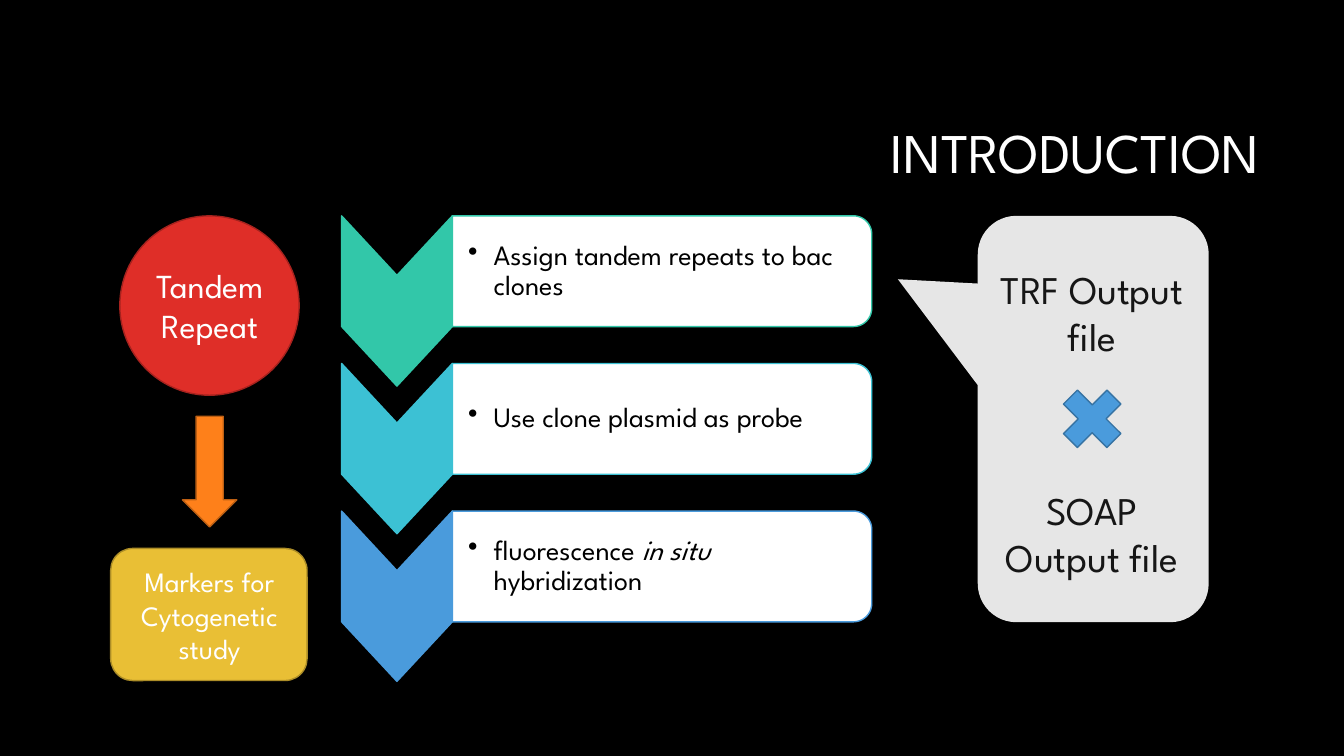
"""Build the introduction slide on tandem repeats as cytogenetic markers."""
import math

import lxml.etree
import pptx
import pptx.dml.color
import pptx.enum.shapes
import pptx.enum.text
import pptx.oxml.ns
import pptx.util

Cm = pptx.util.Cm
Pt = pptx.util.Pt
SHAPE = pptx.enum.shapes.MSO_SHAPE
ALIGN = pptx.enum.text.PP_ALIGN
ANCHOR = pptx.enum.text.MSO_ANCHOR


def color(value):
    return pptx.dml.color.RGBColor.from_string(value)


class IntroductionSlide:
    font = "League Spartan"

    def __init__(self, deck):
        self.page = deck.slides.add_slide(deck.slide_layouts[6])
        self.page.background.fill.solid()
        self.page.background.fill.fore_color.rgb = color("000000")

    def paint(self, box, fill, line=None):
        box.shadow.inherit = False
        box.fill.solid()
        box.fill.fore_color.rgb = color(fill)
        if line:
            box.line.color.rgb = color(line)
            box.line.width = Pt(1)
        else:
            box.line.fill.background()
        return box

    def shape(self, kind, place, fill, line=None):
        box = self.page.shapes.add_shape(kind, *map(Cm, place))
        return self.paint(box, fill, line)

    def outline(self, points, fill, line):
        start, *rest = [(Cm(x), Cm(y)) for x, y in points]
        builder = self.page.shapes.build_freeform(*start)
        builder.add_line_segments(rest, close=True)
        return self.paint(builder.convert_to_shape(), fill, line)

    def span(self, para, words, size, ink, italic=False):
        span = para.add_run()
        span.text = words
        span.font.name = self.font
        span.font.size = Pt(size)
        span.font.color.rgb = color(ink)
        span.font.italic = italic

    def text(self, place, lines, size, ink="FFFFFF", align=ALIGN.CENTER,
             anchor=ANCHOR.TOP, spacing=1.0):
        box = self.page.shapes.add_textbox(*map(Cm, place))
        frame = box.text_frame
        frame.word_wrap = True
        frame.vertical_anchor = anchor
        for index, words in enumerate(lines):
            para = frame.add_paragraph() if index else frame.paragraphs[0]
            para.alignment = align
            para.line_spacing = spacing
            self.span(para, words, size, ink)

    def chevron(self, left, top, width, side, notch, fill):
        middle, right = left + width / 2, left + width
        self.outline([(left, top), (middle, top + notch), (right, top),
                      (right, top + side), (middle, top + side + notch),
                      (left, top + side)], fill, fill)

    def step_box(self, left, top, width, height, line, spans):
        radius = 0.46
        corner = left + width - radius
        angles = [math.radians(degrees) for degrees in range(0, 91, 6)]
        upper = [(corner + radius * math.sin(a),
                  top + radius * (1 - math.cos(a))) for a in angles]
        lower = [(x, 2 * top + height - y) for x, y in reversed(upper)]
        box = self.outline([(left, top), *upper, *lower, (left, top + height)],
                           "FFFFFF", line)
        frame = box.text_frame
        frame.word_wrap = True
        frame.vertical_anchor = ANCHOR.MIDDLE
        frame.margin_left = Cm(0.4)
        frame.margin_right = frame.margin_top = frame.margin_bottom = Cm(0.18)
        para = frame.paragraphs[0]
        para.alignment = ALIGN.LEFT
        para.level = 1
        para.line_spacing = 0.9
        for words, italic in spans:
            self.span(para, words, 20, "000000", italic)
        self.bullet(para)

    def bullet(self, para):
        properties = para._p.get_or_add_pPr()
        properties.set("marL", str(Cm(0.64)))
        properties.set("indent", str(-Cm(0.64)))
        mark = lxml.etree.SubElement(properties, pptx.oxml.ns.qn("a:buChar"))
        mark.set("char", "•")


def main():
    deck = pptx.Presentation()
    deck.slide_width, deck.slide_height = Cm(33.87), Cm(19.05)
    slide = IntroductionSlide(deck)

    slide.text((8.05, 2.13, 23.93, 3.58), ["INTRODUCTION"], 40,
               align=ALIGN.RIGHT, anchor=ANCHOR.MIDDLE, spacing=0.9)

    slide.shape(SHAPE.OVAL, (3.02, 5.44, 4.52, 4.52), "DF2E28", "A5221E")
    slide.text((2.82, 6.55, 4.93, 2.31), ["Tandem", "Repeat"], 24)
    slide.shape(SHAPE.DOWN_ARROW, (4.6, 10.49, 1.37, 2.79), "FE801A", "BC5F13")
    slide.shape(SHAPE.ROUNDED_RECTANGLE, (2.79, 13.82, 4.95, 3.33),
                "E9BF35", "AC8D27")
    slide.text((2.46, 14.1, 5.64, 2.82),
               ["Markers for", "Cytogenetic study"], 20)

    steps = [
        ("32C7A9", [("Assign tandem repeats to bac clones", False)]),
        ("3CC1D4", [("Use clone plasmid as probe", False)]),
        ("4A9BDC", [("fluorescence ", False), ("in situ  ", True),
                    ("hybridization", False)]),
    ]
    left, side = 8.61, 2.79
    for index, (accent, spans) in enumerate(steps):
        top = 5.44 + 3.72 * index
        slide.chevron(left, top, side, side, 1.5, accent)
        slide.step_box(left + side, top, 10.57, side, accent, spans)

    callout = slide.shape(SHAPE.ROUNDED_RECTANGULAR_CALLOUT,
                          (22.43, 7.65, 10.24, 5.82), "E6E6E6")
    callout.rotation = 90
    for index, value in enumerate((-0.344, 0.846, 0.167)):
        callout.adjustments[index] = value
    for top, words in ((6.55, "TRF Output file"), (12.12, "SOAP Output file")):
        slide.text((24.61, top, 5.82, 2.64), [words], 28, "161616")
    slide.shape(SHAPE.MATH_MULTIPLY, (26.47, 9.5, 2.11, 2.11),
                "4A9BDC", "3773A3")

    deck.save("out.pptx")


if __name__ == "__main__":
    main()
